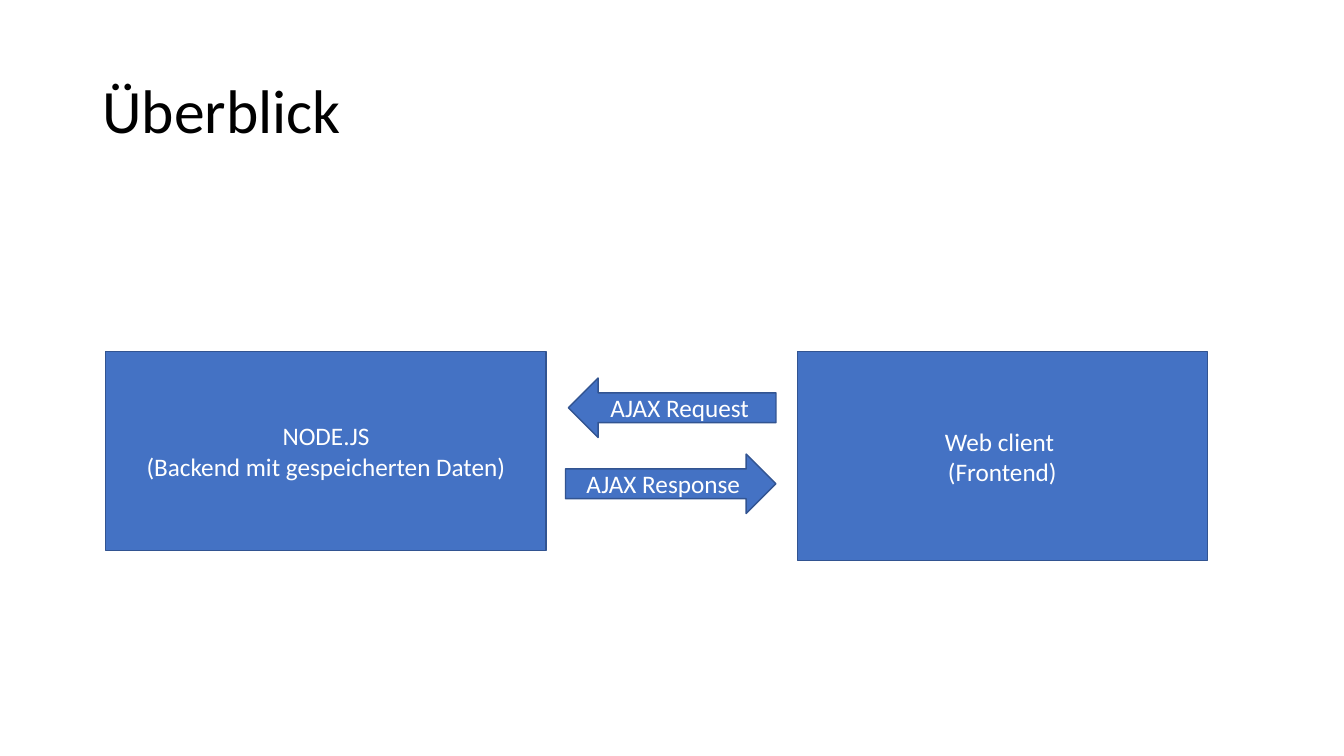
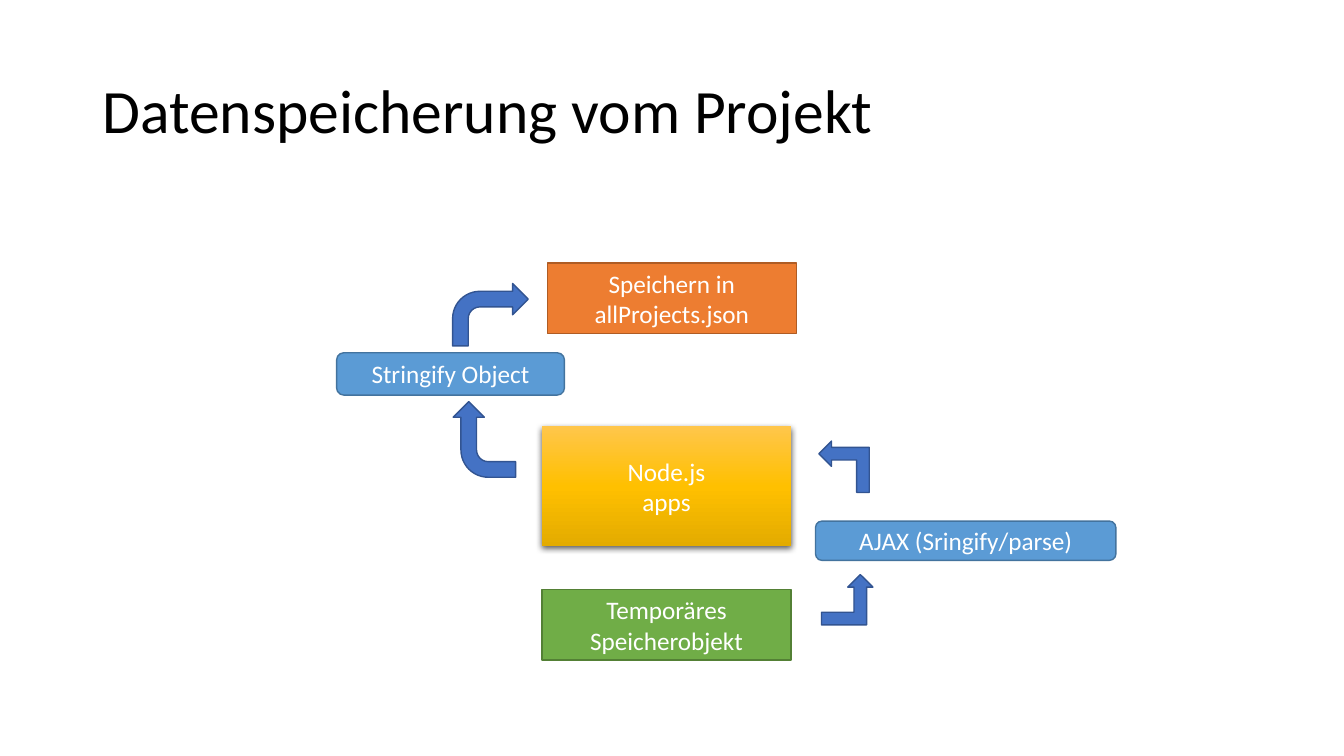
from copy import deepcopy

from lxml import etree
from pptx import Presentation
from pptx.dml.color import RGBColor
from pptx.enum.shapes import MSO_SHAPE
from pptx.enum.text import MSO_ANCHOR, MSO_AUTO_SIZE, PP_ALIGN
from pptx.oxml.ns import qn
from pptx.util import Pt

RECTANGLE = MSO_SHAPE.RECTANGLE
ROUNDED = MSO_SHAPE.ROUNDED_RECTANGLE
LEFT_ARROW = MSO_SHAPE.LEFT_ARROW
RIGHT_ARROW = MSO_SHAPE.RIGHT_ARROW
BENT_ARROW = MSO_SHAPE.BENT_ARROW
BENT_UP_ARROW = MSO_SHAPE.BENT_UP_ARROW
CENTER, LEFT = PP_ALIGN.CENTER, PP_ALIGN.LEFT
MIDDLE = MSO_ANCHOR.MIDDLE
NO_FIT = MSO_AUTO_SIZE.NONE
TITLE_ONLY = 5

# Each theme is a fill colour and its line colour.
BLUE = ("4472C4", "325491")
SKY = ("5B9BD5", "43739E")
GREEN = ("70AD47", "538035")
ORANGE = ("ED7D31", "AF5C24")
GOLD_STOPS = ((0, "FFC64B"), (0.5, "FFC000"), (1, "E3AB00"))


def color(value):
    """Turn a hex string into a colour."""
    return RGBColor.from_string(value)


def assign(target, values):
    """Set attributes of an object from a dict."""
    for name, value in values.items():
        setattr(target, name, value)


class SlideBuilder:
    """Holds the shared style and the current slide."""

    font = "Calibri"
    title_area = (66, 28.8, 828, 104.4)
    title_style = {"size": 44, "ink": "000000", "align": LEFT, "spacing": 0.9}
    label_style = {"size": 18, "ink": "FFFFFF", "align": CENTER, "spacing": 1}

    def __init__(self, deck):
        """Start with a deck and no slide."""
        self.deck = deck
        self.slide = None

    def set_text(self, shape, lines, style):
        """Fill a shape with one paragraph per line."""
        frame = shape.text_frame
        assign(frame, {"word_wrap": True, "auto_size": NO_FIT,
                       "vertical_anchor": MIDDLE})
        frame.text = "\n".join(lines)
        for para in frame.paragraphs:
            assign(para, {"alignment": style["align"],
                          "line_spacing": style["spacing"]})
            for span in para.runs:
                assign(span.font, {"name": self.font, "size": Pt(style["size"])})
                span.font.color.rgb = color(style["ink"])

    def start(self, title):
        """Add a slide with its title."""
        layout = self.deck.slide_layouts[TITLE_ONLY]
        self.slide = self.deck.slides.add_slide(layout)
        box = self.slide.shapes.title
        assign(box, dict(zip(("left", "top", "width", "height"),
                             map(Pt, self.title_area))))
        self.set_text(box, [title], self.title_style)

    def shape(self, kind, area, theme=BLUE, lines=(), rotation=0):
        """Add a flat, outlined shape with optional centred text."""
        box = self.slide.shapes.add_shape(kind, *map(Pt, area))
        box.shadow.inherit = False
        box.rotation = rotation
        fill, line = theme
        box.fill.solid()
        box.fill.fore_color.rgb = color(fill)
        box.line.color.rgb = color(line)
        box.line.width = Pt(1)
        if lines:
            self.set_text(box, lines, self.label_style)
        return box

    def raised(self, area, stops, lines):
        """Add a rectangle with a downward gradient and a soft shadow."""
        box = self.shape(RECTANGLE, area, lines=lines)
        box.line.fill.background()
        box.fill.gradient()
        box.fill.gradient_angle = 270
        properties = box.element.spPr
        stop_list = properties.find(".//" + qn("a:gsLst"))
        while len(stop_list) < len(stops):
            stop_list.append(deepcopy(stop_list[-1]))
        for stop, (position, value) in zip(box.fill.gradient_stops, stops):
            stop.position = position
            stop.color.rgb = color(value)
        effects = properties.find(qn("a:effectLst"))
        shadow = etree.SubElement(
            effects, qn("a:outerShdw"), blurRad=str(Pt(4.5)), dist=str(Pt(1.5)),
            dir="5400000", algn="ctr", rotWithShape="0")
        tint = etree.SubElement(shadow, qn("a:srgbClr"), val="000000")
        etree.SubElement(tint, qn("a:alpha"), val="63000")


def build_overview(page):
    """Draw backend and frontend with the traffic between them."""
    page.start("Überblick")
    page.shape(RECTANGLE, (569.5, 251.3, 293, 149), BLUE,
               ["Web client ", "(Frontend)"])
    page.shape(RECTANGLE, (75.6, 251.3, 314.6, 141.8), BLUE,
               ["NODE.JS", "(Backend mit gespeicherten Daten)"])
    page.shape(LEFT_ARROW, (406, 270, 148.3, 42.5), BLUE, ["AJAX Request"])
    page.shape(RIGHT_ARROW, (404, 324.3, 150.3, 42.5), BLUE, ["AJAX Response"])


def build_storage(page):
    """Draw the way of the data from the object to the file."""
    page.start("Datenspeicherung vom Projekt")
    page.shape(RECTANGLE, (387.2, 421.2, 177.8, 50.4), GREEN,
               ["Temporäres Speicherobjekt"])
    page.shape(ROUNDED, (582.5, 372.2, 214.6, 28.1), SKY,
               ["AJAX (Sringify/parse)"])
    page.raised((387.2, 304.6, 177.8, 85.7), GOLD_STOPS, ["Node.js", "apps"])
    page.shape(ROUNDED, (240.5, 252, 162.7, 30.2), SKY, ["Stringify Object"])
    page.shape(RECTANGLE, (391, 187.9, 177.8, 50.4), ORANGE,
               ["Speichern in allProjects.json"])

    turn_size, bend_size = (36.7, 36), (54, 44.6)
    for kind, corner, size, rotation in (
            (BENT_UP_ARROW, (586.8, 410.4), turn_size, 0),
            (BENT_UP_ARROW, (584.6, 315.4), turn_size, 270),
            (BENT_ARROW, (323.3, 202.5), bend_size, 0),
            (BENT_ARROW, (319, 291.6), bend_size, 270)):
        page.shape(kind, corner + size, rotation=rotation)


def main():
    """Build and save the deck."""
    deck = Presentation()
    assign(deck, {"slide_width": Pt(960), "slide_height": Pt(540)})
    page = SlideBuilder(deck)
    build_overview(page)
    build_storage(page)
    deck.save("out.pptx")


main()
